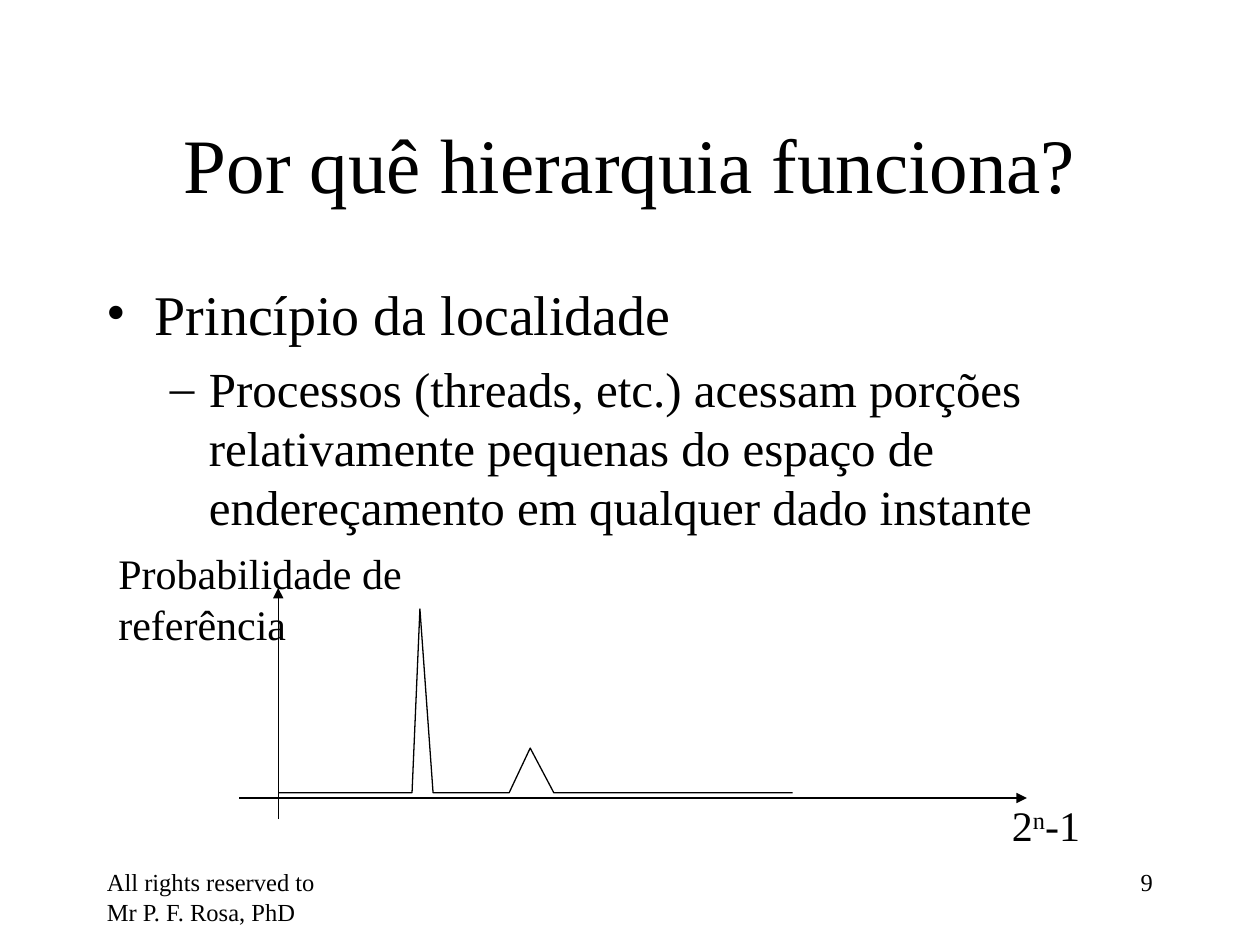
"""Build the slide on why a memory hierarchy works."""
from lxml.etree import SubElement
from pptx import Presentation
from pptx.dml.color import RGBColor
from pptx.enum.shapes import MSO_CONNECTOR as Connector
from pptx.enum.text import MSO_ANCHOR as Anchor, MSO_AUTO_SIZE as AutoSize, PP_ALIGN as Align
from pptx.oxml.ns import qn
from pptx.util import Emu, Inches, Pt

BLACK = RGBColor(0, 0, 0)
WHITE = RGBColor(255, 255, 255)
COLUMNS, ROWS = 120, 90


def write_text(paragraph, text, size=24, font="Times New Roman", color=BLACK, align=None, baseline=None):
    run = paragraph.add_run()
    run.text = text
    run.font.size = Pt(size)
    run.font.name = font
    run.font.color.rgb = color
    if align is not None:
        paragraph.alignment = align
    if baseline is not None:
        run.font._element.set("baseline", str(baseline * 1000))


class SlideBuilder:
    def __init__(self, presentation):
        self.slide = presentation.slides.add_slide(presentation.slide_layouts[5])
        self.slide.background.fill.solid()
        self.slide.background.fill.fore_color.rgb = WHITE
        self.column = presentation.slide_width / COLUMNS
        self.row = presentation.slide_height / ROWS
        self.line_width = Pt(0.74)

    def point(self, column, row):
        return Emu(round(column * self.column)), Emu(round(row * self.row))

    def title(self, text, left, top, width, height):
        shape = self.slide.shapes.title
        shape.left, shape.top = self.point(left, top)
        shape.width, shape.height = self.point(width, height)
        frame = shape.text_frame
        frame.auto_size = AutoSize.NONE
        frame.vertical_anchor = Anchor.MIDDLE
        write_text(frame.paragraphs[0], text, size=44, align=Align.CENTER)

    def text_box(self, left, top, width, height, wrap=True):
        box = self.slide.shapes.add_textbox(*self.point(left, top), *self.point(width, height))
        frame = box.text_frame
        frame.word_wrap = wrap
        frame.auto_size = AutoSize.NONE if wrap else AutoSize.SHAPE_TO_FIT_TEXT
        return frame

    def label(self, text, *place, wrap=True, **style):
        write_text(self.text_box(*place, wrap=wrap).paragraphs[0], text, **style)

    def bullets(self, items, *place):
        frame = self.text_box(*place)
        for level, (text, bullet, size, margin, indent, space) in enumerate(items):
            paragraph = frame.add_paragraph() if level else frame.paragraphs[0]
            paragraph.level = level
            paragraph.space_before = Pt(space)
            write_text(paragraph, text, size=size)
            properties = paragraph._p.get_or_add_pPr()
            properties.set("marL", str(Inches(margin)))
            properties.set("indent", str(Inches(indent)))
            SubElement(properties, qn("a:buFont"), typeface="Times New Roman")
            SubElement(properties, qn("a:buChar"), char=bullet)

    def draw_line(self, shape):
        shape.line.color.rgb = BLACK
        shape.line.width = self.line_width

    def arrow(self, start, end):
        connector = self.slide.shapes.add_connector(Connector.STRAIGHT, *self.point(*start), *self.point(*end))
        self.draw_line(connector)
        SubElement(connector.line._get_or_add_ln(), qn("a:tailEnd"), type="triangle")
        SubElement(connector._element.spPr, qn("a:effectLst"))

    def curve(self, vertices):
        points = [self.point(*vertex) for vertex in vertices]
        builder = self.slide.shapes.build_freeform(*points[0])
        builder.add_line_segments(points[1:], close=False)
        shape = builder.convert_to_shape()
        shape.fill.background()
        shape.shadow.inherit = False
        self.draw_line(shape)


def main():
    presentation = Presentation()
    presentation.slide_width, presentation.slide_height = Inches(10), Inches(7.5)
    builder = SlideBuilder(presentation)

    builder.label("All rights reserved to Mr P. F. Rosa, PhD", 9, 82, 25, 6, size=14)
    builder.label("9", 86, 82, 25, 6, size=14, align=Align.RIGHT)
    builder.title("Por quê hierarquia funciona?", 9, 8, 102, 15)
    builder.bullets([
        ("Princípio da localidade", "•", 32, 0.38, -0.38, 8),
        ("Processos (threads, etc.) acessam porções relativamente pequenas do espaço de "
         "endereçamento em qualquer dado instante", "–", 28, 0.81, -0.31, 7),
    ], 9, 26, 102, 25.8)

    origin, axis, baseline = 26.5, 76, 75.5
    builder.arrow((origin, 78), (origin, 56))
    builder.arrow((22.8, axis), (97.8, axis))
    vertices = [(origin, baseline)]
    for left, peak, right, top in [(39.25, 40, 41.25, 58), (48.5, 50.5, 52.75, 71.25)]:
        vertices += [(left, baseline), (peak, top), (right, baseline)]
    builder.curve(vertices + [(75.5, baseline)])

    address = builder.text_box(95.2, 75.6, 8.9, 6, wrap=False).paragraphs[0]
    for text, shift in [("2", None), ("n", 30), ("-1", None)]:
        write_text(address, text, baseline=shift)
    builder.label("Probabilidade de referência", 10.1, 51.6, 46.3, 6, wrap=False)

    presentation.save("out.pptx")


main()
